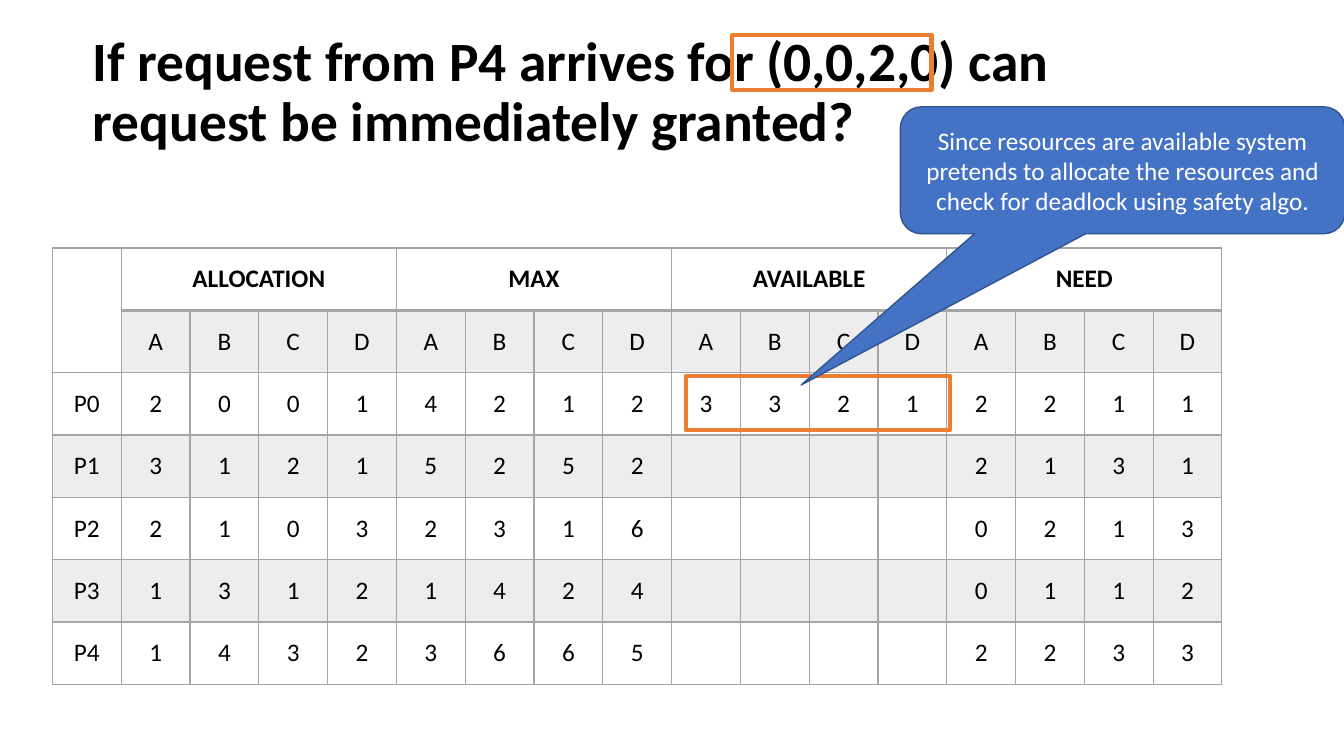
from dataclasses import dataclass

from lxml import etree
from pptx import Presentation
from pptx.dml.color import RGBColor
from pptx.enum import shapes, text
from pptx.oxml import ns
from pptx.util import Inches, Pt


@dataclass(frozen=True)
class Theme:
    font: str = "Calibri"
    head: float = 39.6
    body: float = 18
    ink: str = "000000"
    paper: str = "FFFFFF"
    grid: str = "A5A5A5"
    band: str = "EDEDED"
    mark: str = "ED7D31"
    call: str = "4472C4"
    edge: str = "325491"


theme = Theme()


def write(para, words, size, color, bold=False, align=text.PP_ALIGN.CENTER):
    para.text = words
    para.alignment = align
    para.font.name = theme.font
    para.font.size = Pt(size)
    para.font.bold = bold
    para.font.color.rgb = RGBColor.from_string(color)


def border(cell, low):
    """Draw all four cell sides, the bottom one `low` points wide."""
    props = cell._tc.get_or_add_tcPr()
    for place, side in enumerate(("lnL", "lnR", "lnT", "lnB")):
        width = Pt(low if side == "lnB" else 1)
        line = etree.Element(ns.qn(f"a:{side}"), w=str(width))
        fill = etree.SubElement(line, ns.qn("a:solidFill"))
        etree.SubElement(fill, ns.qn("a:srgbClr"), val=theme.grid)
        props.insert(place, line)


prs = Presentation()
prs.slide_width, prs.slide_height = Inches(13.33), Inches(7.5)
slide = prs.slides.add_slide(prs.slide_layouts[5])

# Title
title = slide.shapes.title
title.left, title.top = Inches(0.82), Inches(0.52)
title.width, title.height = Inches(11.5), Inches(0.81)
frame = title.text_frame
frame.auto_size = text.MSO_AUTO_SIZE.NONE
frame.vertical_anchor = text.MSO_ANCHOR.MIDDLE
write(frame.paragraphs[0],
      "If request from P4 arrives for (0,0,2,0) can request be immediately granted?",
      theme.head, theme.ink, True, text.PP_ALIGN.LEFT)
frame.paragraphs[0].line_spacing = 0.9

# Resource table: one digit per resource, groups in header order
groups = ["ALLOCATION", "MAX", "AVAILABLE", "NEED"]
states = [
    ("P0", "2001", "4212", "3321", "2211"),
    ("P1", "3121", "5252", "    ", "2131"),
    ("P2", "2103", "2316", "    ", "0213"),
    ("P3", "1312", "1424", "    ", "0112"),
    ("P4", "1432", "3665", "    ", "2233"),
]
rows = [[""] + [word for group in groups for word in (group, "", "", "")],
        [""] + list("ABCD" * len(groups))]
rows += [[name] + [digit.strip() for digit in "".join(parts)]
         for name, *parts in states]

table = slide.shapes.add_table(len(rows), len(rows[0]), Inches(0.52), Inches(2.46),
                               Inches(11.6), Inches(4.33)).table
table.first_row = table.horz_banding = False
for col in table.columns:
    col.width = Inches(11.6 / len(rows[0]))
for row in table.rows:
    row.height = Inches(4.33 / len(rows))

for r, row in enumerate(rows):
    for c, word in enumerate(row):
        cell = table.cell(r, c)
        cell.vertical_anchor = text.MSO_ANCHOR.MIDDLE
        write(cell.text_frame.paragraphs[0], word, theme.body, theme.ink, r == 0)
        if r % 2 and (r > 1 or c):
            cell.fill.solid()
            cell.fill.fore_color.rgb = RGBColor.from_string(theme.band)
        else:
            cell.fill.background()
        border(cell, 2 if r == 0 and c or (r, c) == (1, 0) else 1)

table.cell(0, 0).merge(table.cell(1, 0))
for c in range(1, len(rows[0]), 4):
    table.cell(0, c).merge(table.cell(0, c + 3))

# Frames around the request and the available resources
for left, top, width in ((7.26, 0.35, 1.98), (6.8, 3.73, 2.62)):
    box = slide.shapes.add_shape(shapes.MSO_SHAPE.RECTANGLE, Inches(left), Inches(top),
                                 Inches(width), Inches(0.54))
    box.shadow.inherit = False
    box.fill.background()
    box.line.color.rgb = RGBColor.from_string(theme.mark)
    box.line.width = Pt(3)

# Callout
call = slide.shapes.add_shape(shapes.MSO_SHAPE.ROUNDED_RECTANGULAR_CALLOUT,
                              Inches(8.93), Inches(1.06), Inches(4.41), Inches(1.26))
for place, value in enumerate((-0.723, 0.69 + 1, 0.167)):
    call.adjustments[place] = value
call.shadow.inherit = False
call.fill.solid()
call.fill.fore_color.rgb = RGBColor.from_string(theme.call)
call.line.color.rgb = RGBColor.from_string(theme.edge)
call.line.width = Pt(1)
call.text_frame.word_wrap = True
call.text_frame.vertical_anchor = text.MSO_ANCHOR.MIDDLE
write(call.text_frame.paragraphs[0],
      "Since resources are available system pretends to allocate the resources "
      "and check for deadlock using safety algo.", theme.body, theme.paper)

prs.save("out.pptx")
